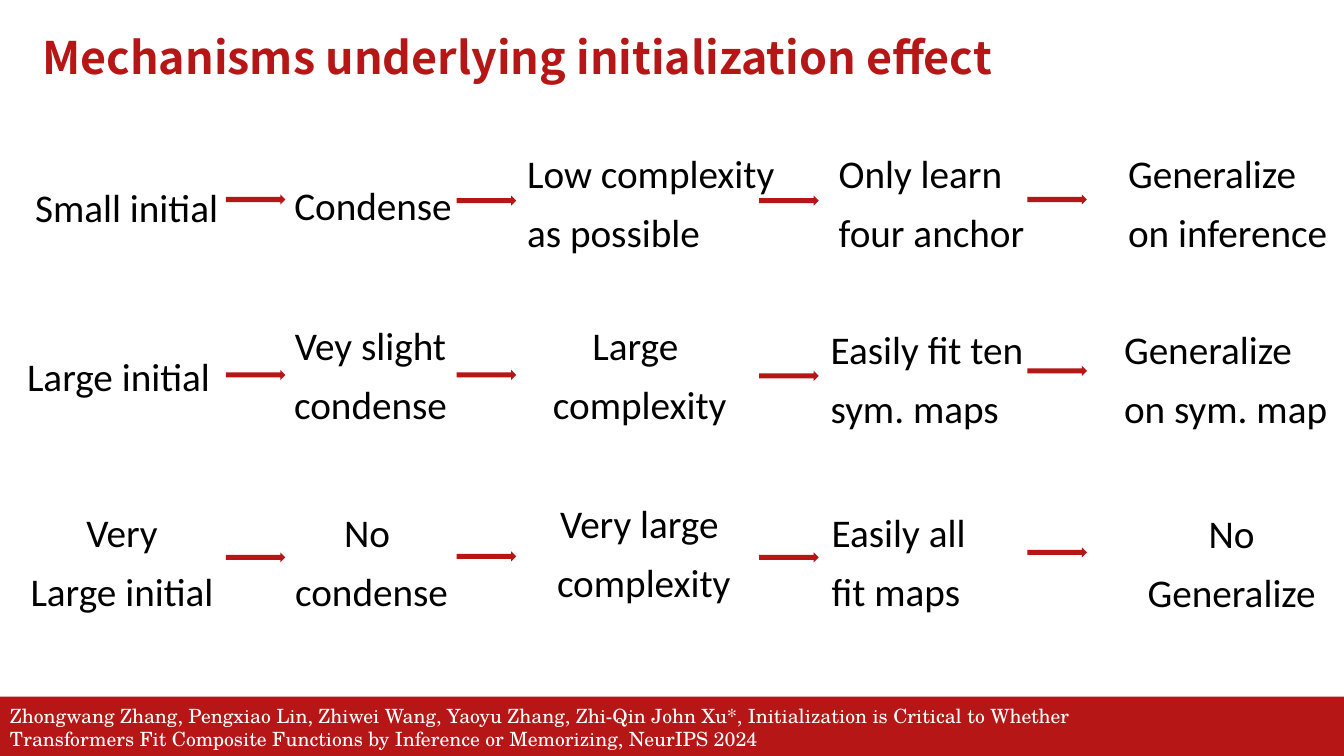
from pptx import Presentation
from pptx.dml.color import RGBColor
from pptx.enum import shapes, text
from pptx import util as u

PX = 9144  # one px is a hundredth of an inch
LEFT, CENTER = text.PP_ALIGN.LEFT, text.PP_ALIGN.CENTER


def color(value):
    return RGBColor.from_string(value)


class Deck:
    RED, BLACK, WHITE = "B61616", "000000", "FFFFFF"
    TITLE_FONT, BODY_FONT, CITE_FONT = "Noto Sans CJK SC", "Calibri", "TeX Gyre Schola"

    def __init__(self, width, height):
        self.prs = Presentation()
        self.prs.slide_width, self.prs.slide_height = width * PX, height * PX
        self.s = self.prs.slides.add_slide(self.prs.slide_layouts[5])

    def run(self, p, words, size, font, fill, bold=False):
        r = p.add_run()
        r.text = words
        r.font.size, r.font.name, r.font.bold = u.Pt(size), font, bold
        r.font.color.rgb = color(fill)

    def title(self, words, *box):
        sp = self.s.shapes.title
        sp.left, sp.top, sp.width, sp.height = (v * PX for v in box)
        tf = sp.text_frame
        tf.margin_left = tf.margin_top = tf.margin_right = tf.margin_bottom = 0
        tf.vertical_anchor = text.MSO_ANCHOR.BOTTOM
        tf.auto_size = text.MSO_AUTO_SIZE.NONE
        p = tf.paragraphs[0]
        p.alignment = LEFT
        self.run(p, words, 32, self.TITLE_FONT, self.RED, True)

    def shape(self, kind, *box):
        sp = self.s.shapes.add_shape(kind, *(v * PX for v in box))
        sp.shadow.inherit = False
        sp.fill.solid()
        sp.fill.fore_color.rgb = color(self.RED)
        sp.line.fill.background()

    def label(self, lines, *box, align=LEFT, size=28, font=BODY_FONT, fill=BLACK, spacing=1.25):
        tf = self.s.shapes.add_textbox(*(v * PX for v in box)).text_frame
        tf.word_wrap = True
        tf.auto_size = text.MSO_AUTO_SIZE.SHAPE_TO_FIT_TEXT
        for i, line in enumerate(lines):
            p = tf.add_paragraph() if i else tf.paragraphs[0]
            p.alignment, p.line_spacing = align, spacing
            self.run(p, line, size, font, fill)


# Steps of each chain: lines, left, top, width, alignment
STEPS = [
    (["Small initial"], 25, 165, 210, LEFT),
    (["Condense"], 282, 163, 179, LEFT),
    (["Low complexity as possible"], 513, 132, 267, LEFT),
    (["Only learn", "four anchor"], 822, 132, 213, LEFT),
    (["Generalize", "on inference"], 1109, 132, 225, LEFT),

    (["Large initial"], 17, 333, 206, LEFT),
    (["Vey slight", "condense"], 278, 302, 179, CENTER),
    (["Large ", "complexity"], 511, 302, 247, CENTER),
    (["Easily fit ten", "sym. maps"], 814, 306, 291, LEFT),
    (["Generalize", "on sym. map"], 1105, 306, 225, LEFT),

    (["Very", "Large initial"], 18, 488, 206, CENTER),
    (["No ", "condense"], 279, 488, 179, CENTER),
    (["Very large ", "complexity"], 515, 479, 247, CENTER),
    (["Easily all", "fit maps"], 815, 488, 291, LEFT),
    (["No Generalize"], 1109, 489, 225, CENTER),
]
ONE_LINE = {"Small initial", "Condense", "Large initial"}

# Arrow columns, and the arrow tops of each chain
ARROW_LEFTS = [224, 453, 753, 1019]
ARROW_TOPS = [[193, 194, 194, 193], [367, 367, 368, 363], [548, 547, 548, 543]]


def main():
    deck = Deck(1333, 750)

    # Footer band and title
    deck.shape(shapes.MSO_SHAPE.RECTANGLE, 0, 691, 1333, 59)
    deck.title("Mechanisms underlying initialization effect", 42, 0, 1250, 83)

    # Chains
    for lines, left, top, width, align in STEPS:
        height = 65 if lines[0] in ONE_LINE else 124
        deck.label(lines, left, top, width, height, align=align)
    for tops in ARROW_TOPS:
        for left, top in zip(ARROW_LEFTS, tops):
            deck.shape(shapes.MSO_SHAPE.RIGHT_ARROW, left, top, 59, 10)

    # Citation
    deck.label(["Zhongwang Zhang, Pengxiao Lin, Zhiwei Wang, Yaoyu Zhang, Zhi-Qin John Xu*, "
                "Initialization is Critical to Whether Transformers Fit Composite Functions "
                "by Inference or Memorizing, NeurIPS 2024"],
               0, 693, 1081, 57, size=14, font=Deck.CITE_FONT, fill=Deck.WHITE, spacing=1.0)

    deck.prs.save("out.pptx")


if __name__ == "__main__":
    main()
